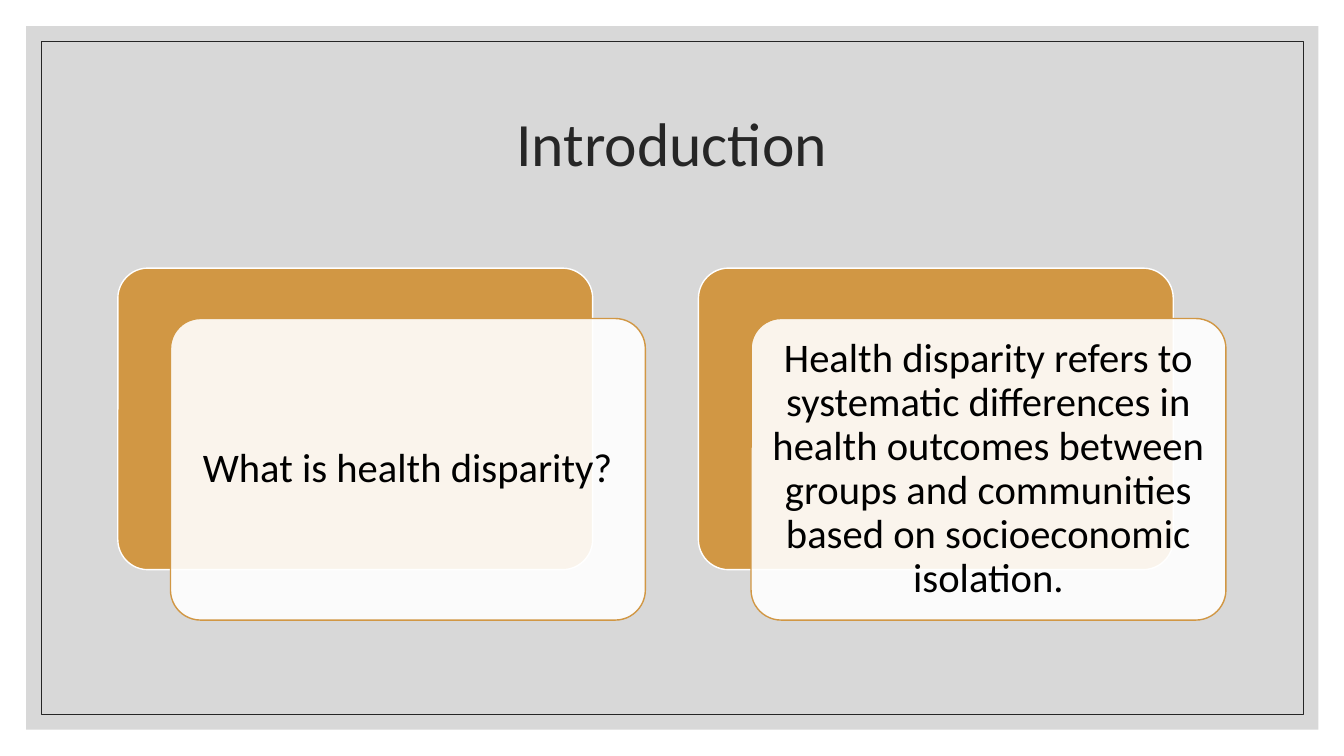
import pptx
import pptx.util
import pptx.dml.color
import pptx.enum.shapes
import pptx.enum.text
import pptx.oxml.ns
import lxml.etree

Pt = pptx.util.Pt
KIND = pptx.enum.shapes.MSO_SHAPE


def paint(shape, fill=None, line=None, width=1, alpha=100):
    shape.shadow.inherit = False
    if fill:
        shape.fill.solid()
        shape.fill.fore_color.rgb = pptx.dml.color.RGBColor.from_string(fill)
        if alpha < 100:
            tag = pptx.oxml.ns.qn("a:srgbClr")
            tint = next(shape.fill._xPr.iter(tag))
            lxml.etree.SubElement(tint, pptx.oxml.ns.qn("a:alpha"), val=str(alpha * 1000))
    else:
        shape.fill.background()
    if line:
        shape.line.color.rgb = pptx.dml.color.RGBColor.from_string(line)
        shape.line.width = Pt(width)
    else:
        shape.line.fill.background()


def write(shape, text, size, color, inset):
    frame = shape.text_frame
    frame.text = text
    form = {
        "word_wrap": True,
        "auto_size": pptx.enum.text.MSO_AUTO_SIZE.NONE,
        "vertical_anchor": pptx.enum.text.MSO_ANCHOR.MIDDLE,
        "margin_left": Pt(inset), "margin_right": Pt(inset),
        "margin_top": Pt(inset), "margin_bottom": Pt(inset),
    }
    for name, value in form.items():
        setattr(frame, name, value)
    para = frame.paragraphs[0]
    para.alignment = pptx.enum.text.PP_ALIGN.CENTER
    para.line_spacing = 0.9
    for name, value in {"name": "Calibri", "size": Pt(size), "bold": False}.items():
        setattr(para.font, name, value)
    para.font.color.rgb = pptx.dml.color.RGBColor.from_string(color)


deck = pptx.Presentation()
deck.slide_width, deck.slide_height = Pt(960), Pt(540)
slide = deck.slides.add_slide(deck.slide_layouts[5])
shapes = slide.shapes

# Grey panel and thin frame
panel = shapes.add_shape(KIND.RECTANGLE, Pt(18.7), Pt(18.7), Pt(923), Pt(502.5))
paint(panel, fill="BFBFBF", alpha=60)
frame = shapes.add_shape(KIND.RECTANGLE, Pt(29.5), Pt(29.5), Pt(901.4), Pt(481))
paint(frame, line="262626", width=0.5)

# Title, in front of the panel
title = shapes.title
place = {"left": 84, "top": 50.4, "width": 792, "height": 108}
for name, value in place.items():
    setattr(title, name, Pt(value))
write(title, "Introduction", 44, "262626", 3.6)
shapes._spTree.append(title._element)

# Two cards, each a gold back with a white front
cards = [
    "What is health disparity?",
    "Health disparity refers to systematic differences in health outcomes "
    "between groups and communities based on socioeconomic isolation.",
]
layers = [(0, 0, "D19744", "FFFFFF", 100), (37.6, 36, "FFFFFF", "D19744", 90)]
for col, text in enumerate(cards):
    for dx, dy, fill, line, alpha in layers:
        card = shapes.add_shape(KIND.ROUNDED_RECTANGLE, Pt(84.2 + 414.7 * col + dx),
                                Pt(191.5 + dy), Pt(339.2), Pt(215.4))
        card.adjustments[0] = 0.1
        paint(card, fill, line, 1, alpha)
    write(card, text, 29, "000000", 8.64)

deck.save("out.pptx")
